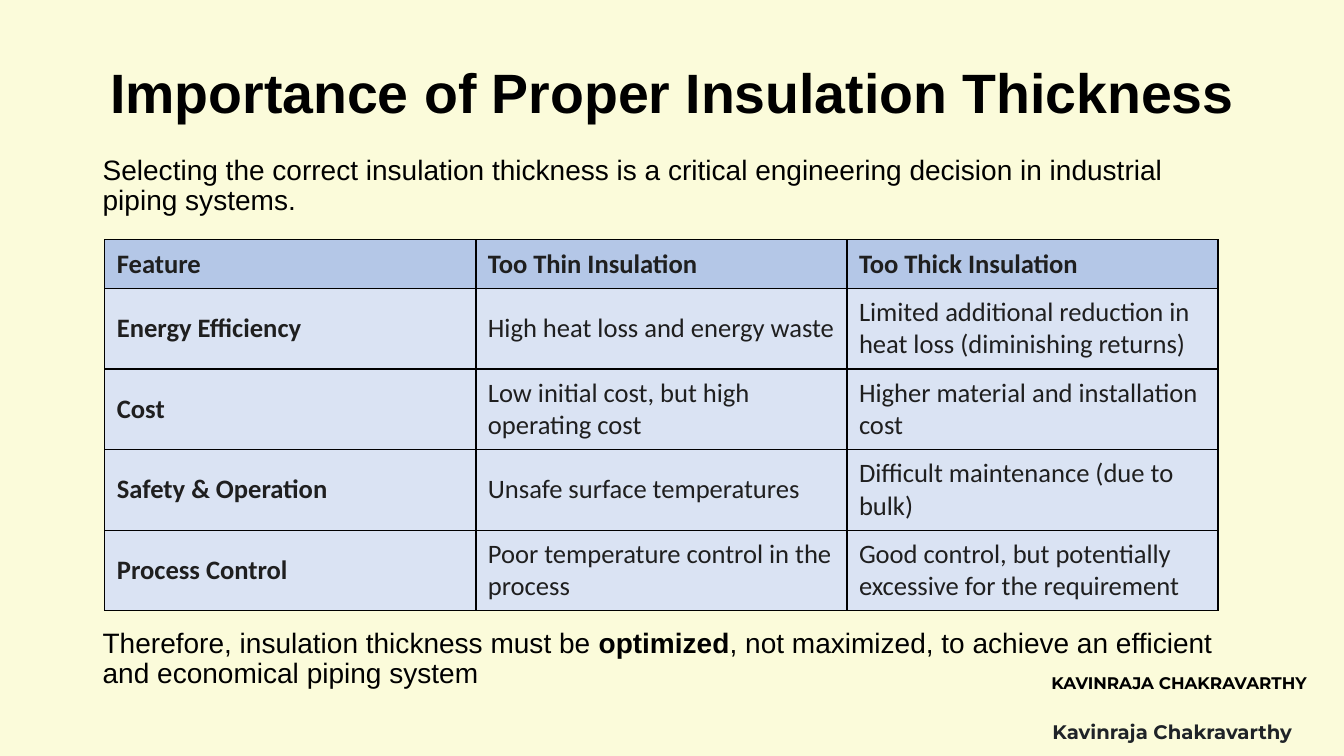
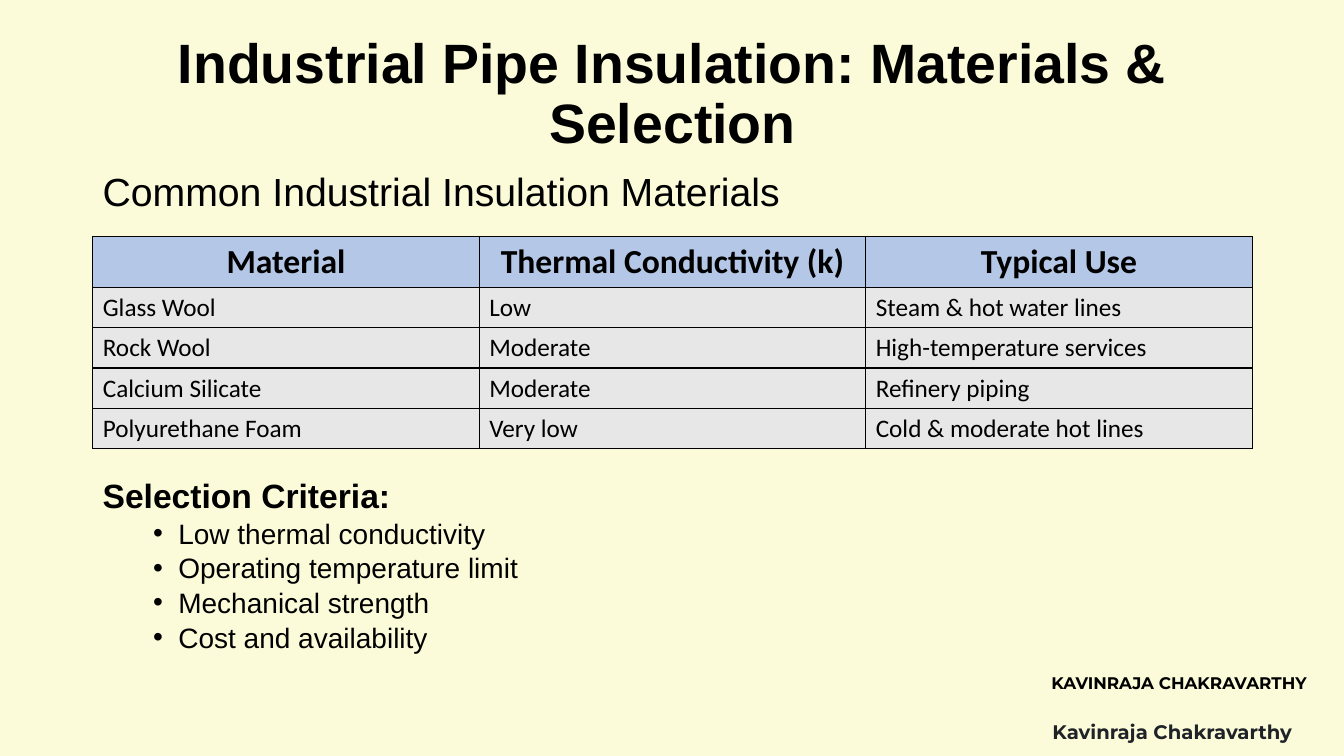
from dataclasses import dataclass

from lxml import etree
from pptx import Presentation
from pptx.dml.color import RGBColor
from pptx.enum.text import MSO_ANCHOR, MSO_AUTO_SIZE, PP_ALIGN
from pptx.oxml.ns import qn
from pptx.slide import Slide
from pptx.text.text import TextFrame
from pptx.util import Inches, Pt

COLORS = {
    "background": "FBFBDA",
    "text": "000000",
    "author": "1F2328",
    "table_text": "1F1F1F",
    "header": "B4C7E7",
    "blue_row": "DAE3F3",
    "gray_row": "E7E7E7",
}
LEFT, CONTENT_WIDTH = 0.92, 11.5


@dataclass(frozen=True)
class Box:
    left: float
    top: float
    width: float
    height: float

    def lengths(self) -> tuple:
        return tuple(Inches(v) for v in (self.left, self.top, self.width, self.height))


@dataclass(frozen=True)
class Credit:
    text: str
    box: Box
    size: float
    color: str


@dataclass(frozen=True)
class TableStyle:
    box: Box
    header_height: float
    header_size: float
    body_size: float
    color: str
    row_fill: str
    margins: tuple[float, float]
    header_align: PP_ALIGN = PP_ALIGN.LEFT
    bold_first_column: bool = False


TITLE_BOX = Box(LEFT, 0.4, CONTENT_WIDTH, 1.09)
CREDITS = [
    Credit("KAVINRAJA CHAKRAVARTHY", Box(10.33, 6.62, 2.9, 0.3), 12, "text"),
    Credit("Kavinraja Chakravarthy", Box(10.34, 7.09, 2.72, 0.34), 14, "author"),
]


def rgb(name: str) -> RGBColor:
    return RGBColor.from_string(COLORS[name])


def write(frame: TextFrame, text: str, *, size: float, font: str = "Arial",
          color: str = "text", bold: bool = False, align: PP_ALIGN = PP_ALIGN.LEFT,
          line_spacing: float = 1.0, space_before: float = 0,
          bullet: bool = False) -> None:
    """Add a paragraph; text between ** marks is bold."""
    paragraph = frame.add_paragraph() if frame.text else frame.paragraphs[0]
    paragraph.alignment = align
    paragraph.line_spacing = line_spacing
    paragraph.space_before = Pt(space_before)
    for index, piece in enumerate(text.split("**")):
        run = paragraph.add_run()
        run.text = piece
        run.font.size = Pt(size)
        run.font.name = font
        run.font.bold = bold or index % 2 == 1
        run.font.color.rgb = rgb(color)
    if bullet:
        properties = paragraph._p.get_or_add_pPr()
        properties.set("marL", str(Inches(0.75)))
        properties.set("indent", str(Inches(-0.25)))
        etree.SubElement(properties, qn("a:buFont")).set("typeface", "Arial")
        etree.SubElement(properties, qn("a:buChar")).set("char", "•")


def add_text_frame(slide: Slide, box: Box) -> TextFrame:
    frame = slide.shapes.add_textbox(*box.lengths()).text_frame
    frame.word_wrap = True
    return frame


def add_base_slide(prs: Presentation, title: str) -> Slide:
    """Add a slide with the shared title and author credits."""
    slide = prs.slides.add_slide(prs.slide_layouts[5])
    heading = slide.shapes.title
    heading.left, heading.top, heading.width, heading.height = TITLE_BOX.lengths()
    frame = heading.text_frame
    frame.auto_size = MSO_AUTO_SIZE.NONE
    frame.vertical_anchor = MSO_ANCHOR.MIDDLE
    write(frame, title, size=39.6, bold=True, align=PP_ALIGN.CENTER, line_spacing=0.9)
    for credit in CREDITS:
        write(add_text_frame(slide, credit.box), credit.text, size=credit.size,
              font="Montserrat", color=credit.color, bold=True)
    return slide


def set_borders(cell) -> None:
    properties = cell._tc.get_or_add_tcPr()
    for index, side in enumerate(("lnL", "lnR", "lnT", "lnB")):
        line = etree.Element(qn(f"a:{side}"), w=str(Pt(1)))
        fill = etree.SubElement(line, qn("a:solidFill"))
        etree.SubElement(fill, qn("a:srgbClr")).set("val", COLORS["text"])
        properties.insert(index, line)


def add_grid(slide: Slide, rows: list[tuple[str, ...]], style: TableStyle) -> None:
    table = slide.shapes.add_table(len(rows), len(rows[0]), *style.box.lengths()).table
    table.horz_banding = False
    for column in table.columns:
        column.width = Inches(style.box.width / len(rows[0]))
    body_height = (style.box.height - style.header_height) / (len(rows) - 1)
    side, edge = (Inches(margin) for margin in style.margins)

    for r, values in enumerate(rows):
        header = r == 0
        table.rows[r].height = Inches(style.header_height if header else body_height)
        for c, value in enumerate(values):
            cell = table.cell(r, c)
            cell.fill.solid()
            cell.fill.fore_color.rgb = rgb("header" if header else style.row_fill)
            cell.vertical_anchor = MSO_ANCHOR.MIDDLE
            cell.margin_left = cell.margin_right = side
            cell.margin_top = cell.margin_bottom = edge
            write(cell.text_frame, value, font="Calibri", color=style.color,
                  size=style.header_size if header else style.body_size,
                  bold=header or (style.bold_first_column and c == 0),
                  align=style.header_align if header else PP_ALIGN.LEFT)
            set_borders(cell)


def build_thickness_slide(prs: Presentation) -> None:
    slide = add_base_slide(prs, "Importance of Proper Insulation Thickness")

    # Opening and closing statements
    statements = [
        (1.5, "Selecting the correct insulation thickness is a critical engineering "
              "decision in industrial piping systems."),
        (6.19, "Therefore, insulation thickness must be **optimized**, not maximized, "
               "to achieve an efficient and economical piping system"),
    ]
    for top, statement in statements:
        frame = add_text_frame(slide, Box(LEFT, top, CONTENT_WIDTH, 0.7))
        write(frame, statement, size=20, line_spacing=0.9)

    # Comparison of thin and thick insulation
    comparison = [
        ("Feature", "Too Thin Insulation", "Too Thick Insulation"),
        ("Energy Efficiency", "High heat loss and energy waste",
         "Limited additional reduction in heat loss (diminishing returns)"),
        ("Cost", "Low initial cost, but high operating cost",
         "Higher material and installation cost"),
        ("Safety & Operation", "Unsafe surface temperatures",
         "Difficult maintenance (due to bulk)"),
        ("Process Control", "Poor temperature control in the process",
         "Good control, but potentially excessive for the requirement"),
    ]
    add_grid(slide, comparison, TableStyle(
        Box(1.04, 2.38, 11.04, 3.68), header_height=0.48, header_size=19, body_size=19,
        color="table_text", row_fill="blue_row", margins=(0.12, 0.08),
        bold_first_column=True))


def build_materials_slide(prs: Presentation) -> None:
    slide = add_base_slide(prs, "Industrial Pipe Insulation: Materials & Selection")

    # Materials table with its heading
    heading = add_text_frame(slide, Box(LEFT, 1.7, CONTENT_WIDTH, 0.55))
    write(heading, "Common Industrial Insulation Materials", size=28, line_spacing=0.8)
    materials = [
        ("Material", "Thermal Conductivity (k)", "Typical Use"),
        ("Glass Wool", "Low", "Steam & hot water lines"),
        ("Rock Wool", "Moderate", "High-temperature services"),
        ("Calcium Silicate", "Moderate", "Refinery piping"),
        ("Polyurethane Foam", "Very low", "Cold & moderate hot lines"),
    ]
    add_grid(slide, materials, TableStyle(
        Box(LEFT, 2.35, CONTENT_WIDTH, 2.1), header_height=0.5, header_size=24,
        body_size=18, color="text", row_fill="gray_row", margins=(0.1, 0.05),
        header_align=PP_ALIGN.CENTER))

    # Selection criteria
    criteria = add_text_frame(slide, Box(LEFT, 4.74, CONTENT_WIDTH, 1.8))
    write(criteria, "Selection Criteria:", size=24, bold=True, line_spacing=0.8)
    for criterion in ("Low thermal conductivity", "Operating temperature limit",
                      "Mechanical strength", "Cost and availability"):
        write(criteria, criterion, size=20, line_spacing=0.8, space_before=5.5,
              bullet=True)


def main() -> None:
    prs = Presentation()
    prs.slide_width, prs.slide_height = Inches(13.33), Inches(7.5)
    background = prs.slide_master.background.fill
    background.solid()
    background.fore_color.rgb = rgb("background")
    build_thickness_slide(prs)
    build_materials_slide(prs)
    prs.save("out.pptx")


if __name__ == "__main__":
    main()
